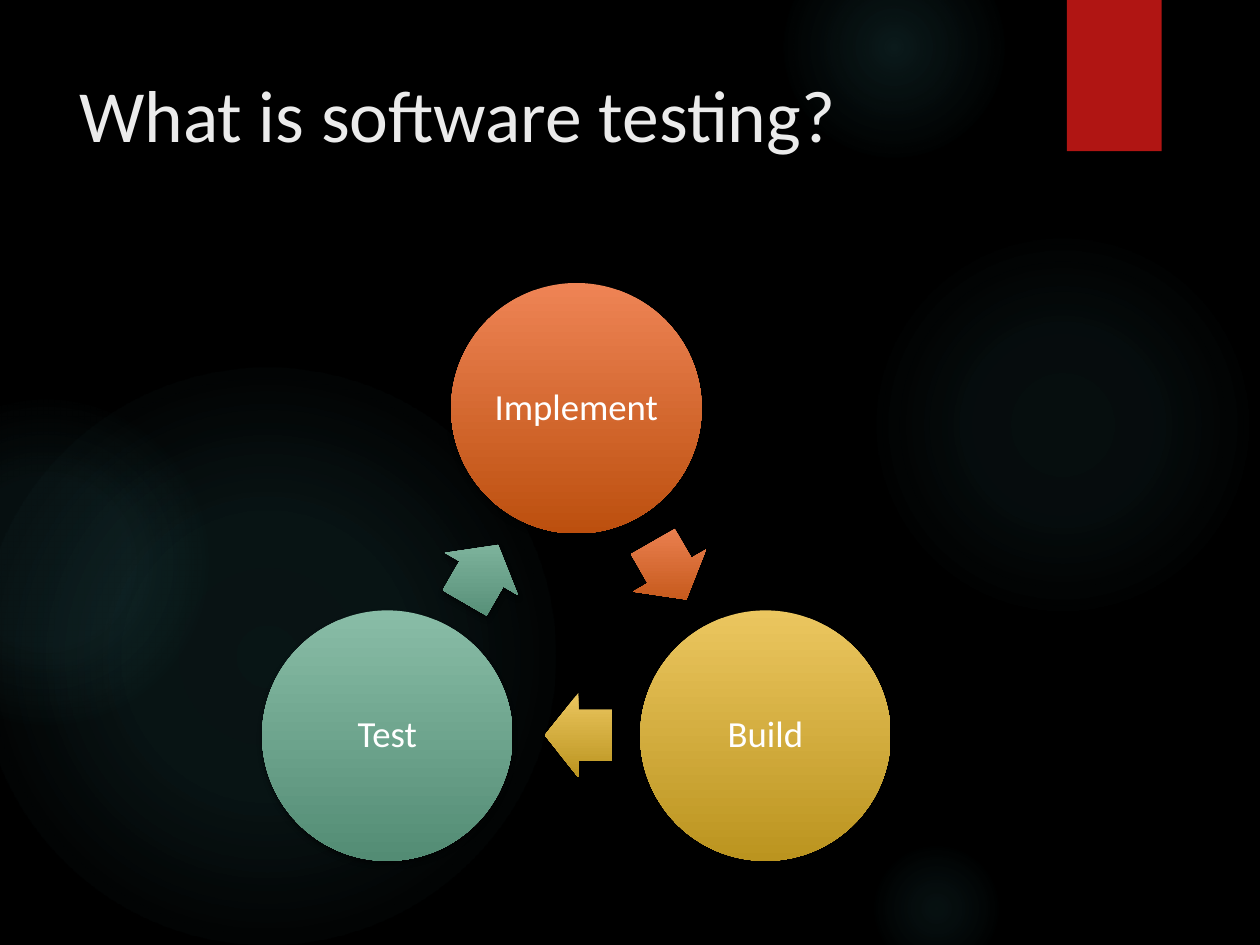
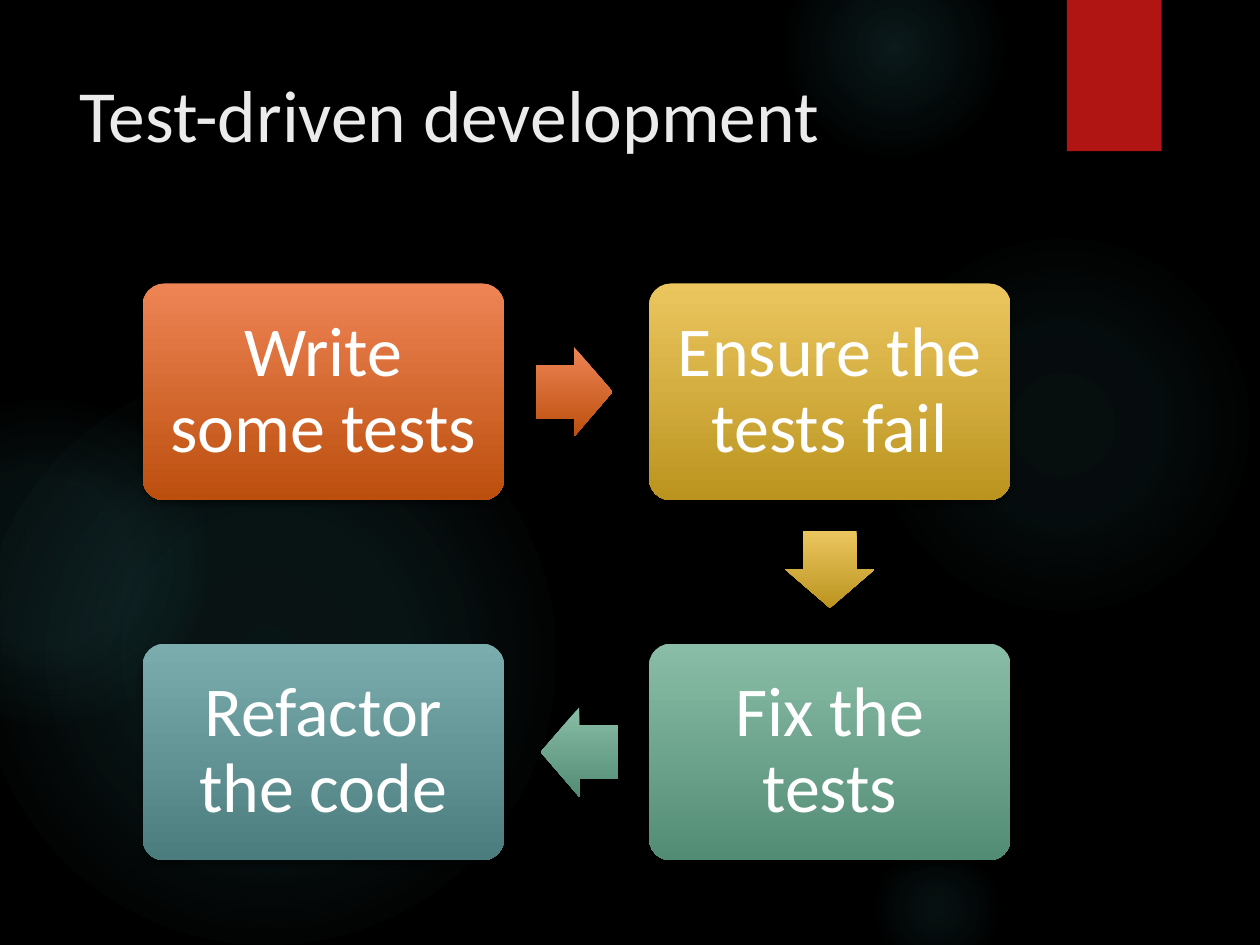
import math

import pptx
import pptx.dml.color
import pptx.enum.shapes
import pptx.enum.text
import pptx.oxml
import pptx.oxml.ns
import pptx.util

Cm = pptx.util.Cm
KIND = pptx.enum.shapes.MSO_SHAPE
ALIGN = pptx.enum.text.PP_ALIGN
ANCHOR = pptx.enum.text.MSO_ANCHOR

FONT = "Calibri"
BLACK, WHITE, PALE, RED, GLOW = "000000", "FFFFFF", "EBEBEB", "B01513", "50B9C1"
ORANGE = ("EE8455", "BC4F0E")
GOLD = ("EBC65F", "BB941F")
GREEN = ("89BDA7", "538C74")
TEAL = ("7CADAE", "4C7D7E")

GLOWS = [
    (17.5, 4.65, 7.82, [(0, 7), (36, 6), (69, 0)]),
    (15.8, -1.27, 4.45, [(0, 14), (36, 7), (73, 0)]),
    (17.5, 16.94, 2.74, [(0, 9), (36, 5), (66, 0)]),
    (-0.43, 7.42, 11.63, [(0, 11), (36, 10), (75, 0)]),
    (-2.34, 8.05, 6.55, [(0, 8), (36, 8), (72, 0)]),
]


def color(code):
    return pptx.dml.color.RGBColor.from_string(code)


def write(box, text, size=21, tint=WHITE, align=ALIGN.CENTER,
          anchor=ANCHOR.MIDDLE, inset=(0.08, 0.08), space=0.9):
    frame = box.text_frame
    frame.word_wrap = True
    frame.vertical_anchor = anchor
    frame.margin_left = frame.margin_right = Cm(inset[0])
    frame.margin_top = frame.margin_bottom = Cm(inset[1])
    para = frame.paragraphs[0]
    para.alignment = align
    para.line_spacing = space
    run = para.add_run()
    run.text = text
    run.font.name = FONT
    run.font.size = pptx.util.Pt(size)
    run.font.color.rgb = color(tint)


def draw(slide, kind, left, top, width, height):
    shape = slide.shapes.add_shape(kind, Cm(left), Cm(top), Cm(width), Cm(height))
    shape.shadow.inherit = False
    shape.line.fill.background()
    return shape


def blend(shape, stops, shade):
    marks = "".join(
        f'<a:gs pos="{pos * 1000}"><a:srgbClr val="{code}">'
        f'<a:alpha val="{alpha * 1000}"/></a:srgbClr></a:gs>'
        for pos, code, alpha in stops)
    fill = pptx.oxml.parse_xml(
        f'<a:gradFill {pptx.oxml.ns.nsdecls("a")} rotWithShape="0">'
        f"<a:gsLst>{marks}</a:gsLst>{shade}</a:gradFill>")
    shape.fill.background()
    props = shape._element.spPr
    props.replace(props.find(pptx.oxml.ns.qn("a:noFill")), fill)


def shadow(shape):
    effect = shape._element.spPr.find(pptx.oxml.ns.qn("a:effectLst"))
    effect.append(pptx.oxml.parse_xml(
        f'<a:outerShdw {pptx.oxml.ns.nsdecls("a")} blurRad="38100" dist="25400" '
        f'dir="5400000" rotWithShape="0"><a:srgbClr val="{BLACK}">'
        '<a:alpha val="45000"/></a:srgbClr></a:outerShdw>'))


def glow(slide, left, top, size, stops):
    disc = draw(slide, KIND.OVAL, left, top, size, size)
    shade = ('<a:path path="circle"><a:fillToRect l="50000" t="50000" '
             'r="50000" b="50000"/></a:path>')
    blend(disc, [(pos, GLOW, alpha) for pos, alpha in stops], shade)


def block(slide, kind, center, size, tone):
    (mid, level), (width, height) = center, size
    shape = draw(slide, kind, mid - width / 2, level - height / 2, width, height)
    light, dark = tone
    blend(shape, [(0, light, 100), (100, dark, 100)],
          '<a:lin ang="5400000" scaled="0"/>')
    shadow(shape)
    return shape


def arrow(slide, center, size, tone, turn):
    shape = block(slide, KIND.RIGHT_ARROW, center, size, tone)
    shape.adjustments[0] = 0.6
    shape.adjustments[1] = 0.5
    shape.rotation = turn


def start(deck, title):
    slide = deck.slides.add_slide(deck.slide_layouts[6])
    back = slide.background.fill
    back.solid()
    back.fore_color.rgb = color(BLACK)
    for spot in GLOWS:
        glow(slide, *spot)
    band = draw(slide, KIND.RECTANGLE, 21.51, 0, 1.91, 3.05)
    band.fill.solid()
    band.fill.fore_color.rgb = color(RED)
    shadow(band)
    box = slide.shapes.add_textbox(Cm(1.35), Cm(1.27), Cm(19.6), Cm(3.89))
    write(box, title, size=42, tint=PALE, align=ALIGN.LEFT,
          anchor=ANCHOR.TOP, inset=(0.25, 0.13), space=1.0)
    return slide


def orbit(radius, angle):
    turn = math.radians(angle)
    return 11.62 + radius * math.cos(turn), 12.63 + radius * math.sin(turn)


def cycle(slide, steps):
    for i, (text, tone) in enumerate(steps):
        turn = 120 * i
        disc = block(slide, KIND.OVAL, orbit(4.4, turn - 90), (5.05, 5.05), tone)
        write(disc, text)
        arrow(slide, orbit(2.19, turn - 31), (1.35, 1.7), tone, turn + 60)


def flow(slide, steps):
    cells = [(0, 0), (1, 0), (1, 1), (0, 1)]
    spots = [(6.52 + 10.21 * col, 7.9 + 7.26 * row) for col, row in cells]
    for i, (text, tone) in enumerate(steps):
        card = block(slide, KIND.ROUNDED_RECTANGLE, spots[i], (7.29, 4.37), tone)
        card.adjustments[0] = 0.1
        write(card, text, size=40, inset=(0.43, 0.43))
        if i + 1 < len(steps):
            (x, y), (next_x, next_y) = spots[i:i + 2]
            turn = math.atan2(next_y - y, next_x - x)
            center = ((x + next_x) / 2 - 0.05 * math.cos(turn),
                      (y + next_y) / 2 - 0.05 * math.sin(turn))
            arrow(slide, center, (1.55, 1.8), tone, math.degrees(turn))


def main():
    deck = pptx.Presentation()
    deck.slide_width, deck.slide_height = Cm(25.4), Cm(19.05)
    cycle(start(deck, "What is software testing?"),
          [("Implement", ORANGE), ("Build", GOLD), ("Test", GREEN)])
    flow(start(deck, "Test-driven development"),
         [("Write some tests", ORANGE), ("Ensure the tests fail", GOLD),
          ("Fix the tests", GREEN), ("Refactor the code", TEAL)])
    deck.save("out.pptx")


if __name__ == "__main__":
    main()
